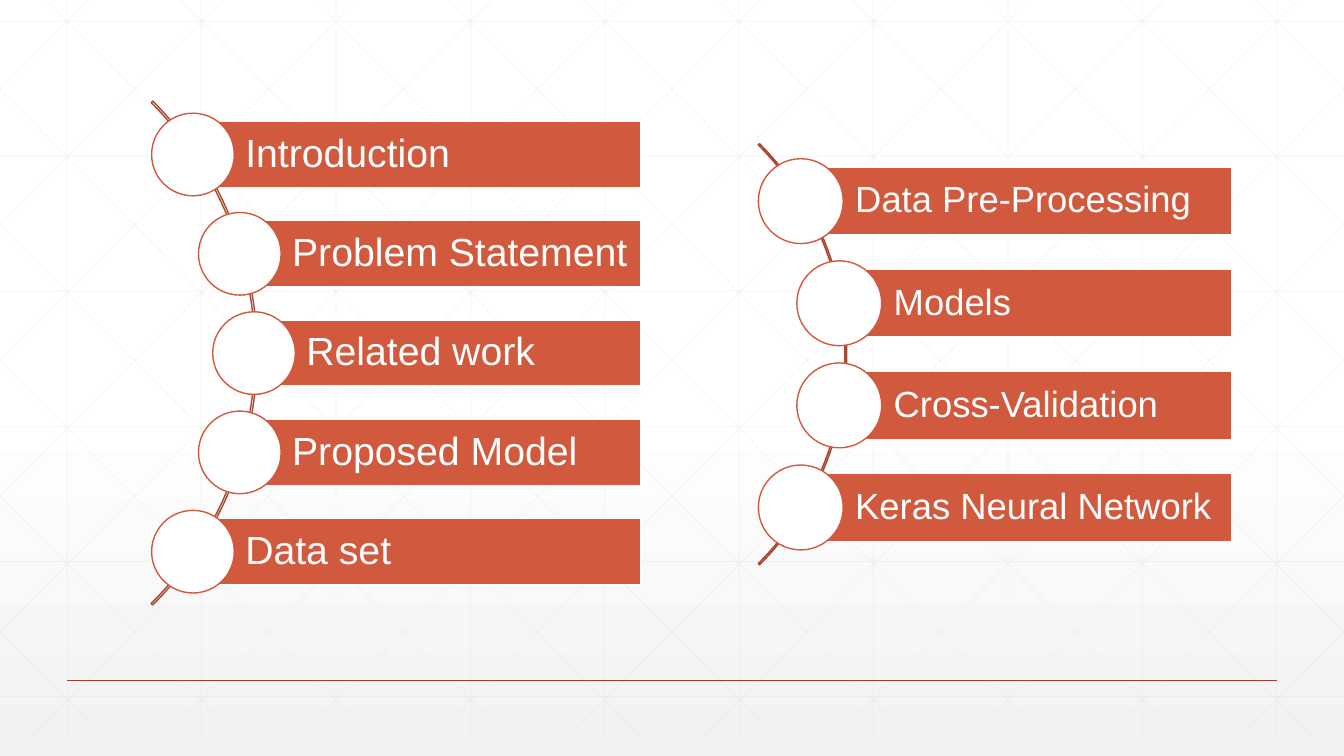
from dataclasses import dataclass
from math import sqrt

from lxml import etree
from pptx import Presentation
from pptx.dml.color import RGBColor
from pptx.enum.shapes import MSO_CONNECTOR, MSO_SHAPE
from pptx.enum.text import MSO_ANCHOR, PP_ALIGN
from pptx.oxml.ns import qn
from pptx.util import Inches, Pt

STRAIGHT = MSO_CONNECTOR.STRAIGHT
RECT, CIRCLE, ARC = MSO_SHAPE.RECTANGLE, MSO_SHAPE.OVAL, MSO_SHAPE.BLOCK_ARC
MIDDLE, LEFT = MSO_ANCHOR.MIDDLE, PP_ALIGN.LEFT

# The slide is a grid of 0.1 inch cells
COLS, ROWS = 133.33, 75


@dataclass(frozen=True)
class Theme:
    font: str = "Arial"
    white: str = "FFFFFF"
    bar: str = "D15A3E"
    arc: str = "A74832"
    rule: str = "A43F27"
    mesh: str = "D9D9D9"
    shade: str = "F2F2F2"
    large: int = 28
    medium: int = 26
    thin: float = 0.5
    line: float = 1


@dataclass(frozen=True)
class Agenda:
    topics: tuple
    size: int
    centre: tuple
    radius: float
    step: float
    bar_height: float
    dot: float
    right: float
    indent: float


def cells(count):
    return Inches(count / 10)


def write(frame, text, *, font, size, color, indent):
    frame.word_wrap = True
    frame.vertical_anchor = MIDDLE
    frame.margin_left, frame.margin_right = cells(indent), cells(0.5)
    frame.margin_top = frame.margin_bottom = cells(0.7)
    paragraph = frame.paragraphs[0]
    paragraph.text = text
    paragraph.alignment = LEFT
    paragraph.line_spacing = 0.9
    paragraph.font.name, paragraph.font.size = font, Pt(size)
    paragraph.font.color.rgb = RGBColor.from_string(color)


class Page:
    def __init__(self, slide, theme):
        self.slide, self.theme = slide, theme

    def backdrop(self, stops):
        fill = self.slide.background.fill
        fill.gradient()
        fill.gradient_angle = 270
        stop_list = self.slide.element.find(".//" + qn("a:gsLst"))
        for old in list(stop_list):
            stop_list.remove(old)
        for position, color, opacity in stops:
            stop = etree.SubElement(stop_list, qn("a:gs"), pos=str(position * 1000))
            tint = etree.SubElement(stop, qn("a:srgbClr"), val=color)
            if opacity < 100:
                etree.SubElement(tint, qn("a:alpha"), val=str(opacity * 1000))

    def line(self, x1, y1, x2, y2, color, width, opacity=100):
        line = self.slide.shapes.add_connector(
            STRAIGHT, cells(x1), cells(y1), cells(x2), cells(y2))
        line.line.width = Pt(width)
        line.line.color.rgb = RGBColor.from_string(color)
        if opacity < 100:
            tint = line.line._ln.find(".//" + qn("a:srgbClr"))
            etree.SubElement(tint, qn("a:alpha"), val=str(opacity * 1000))
        etree.SubElement(line._element.spPr, qn("a:effectLst"))

    def shape(self, kind, x, y, width, height, fill, outline):
        shape = self.slide.shapes.add_shape(
            kind, cells(x), cells(y), cells(width), cells(height))
        shape.shadow.inherit = False
        if fill:
            shape.fill.solid()
            shape.fill.fore_color.rgb = RGBColor.from_string(fill)
        else:
            shape.fill.background()
        shape.line.width = Pt(self.theme.line)
        shape.line.color.rgb = RGBColor.from_string(outline)
        return shape

    def mesh(self):
        look = (self.theme.mesh, self.theme.thin, 25)
        top, bottom, pitch = -2.1, 72.9, COLS / 10
        for k in range(10):
            x = pitch * (k + 0.5)
            self.line(x, 0, x, bottom, *look)
        for k in range(6):
            y = 2.1 + 13.4 * k
            self.line(0, y, COLS, y, *look)
        # Diagonals, cut at the slide edges, each with its mirror
        slope = 0.99
        for k in range(-5, 10):
            start = 2.5 + pitch * k
            y1 = max(0, top - start / slope)
            y2 = min(bottom, top + (COLS - start) / slope)
            x1, x2 = (start + (y - top) * slope for y in (y1, y2))
            self.line(x1, y1, x2, y2, *look)
            self.line(COLS - x1, y1, COLS - x2, y2, *look)

    def agenda(self, agenda):
        theme = self.theme
        cx, cy = agenda.centre
        radius, height, dot = agenda.radius, agenda.bar_height, agenda.dot
        arc = self.shape(ARC, cx - radius, cy - radius, 2 * radius, 2 * radius,
                         None, theme.arc)
        for index, value in enumerate((189, 27, 0.003)):
            arc.adjustments[index] = value
        # Each bar starts at the centre of its dot, which sits on the arc
        for index, topic in enumerate(agenda.topics):
            rise = (index - (len(agenda.topics) - 1) / 2) * agenda.step
            x, y = cx + sqrt((radius - 0.3) ** 2 - rise ** 2), cy + rise
            bar = self.shape(RECT, x, y - height / 2, agenda.right - x, height,
                             theme.bar, theme.white)
            write(bar.text_frame, topic, font=theme.font, size=agenda.size,
                  color=theme.white, indent=agenda.indent)
            self.shape(CIRCLE, x - dot / 2, y - dot / 2, dot, dot,
                       theme.white, theme.bar)


def main():
    deck = Presentation()
    deck.slide_width, deck.slide_height = cells(COLS), cells(ROWS)
    theme = Theme()
    page = Page(deck.slides.add_slide(deck.slide_layouts[6]), theme)

    # Backdrop and footer rule
    page.backdrop([(0, theme.white, 100), (53, theme.white, 100),
                   (100, theme.shade, 65)])
    page.mesh()
    page.line(6.67, 67.5, 126.67, 67.5, theme.rule, theme.line)

    # Agenda, first and second half
    page.agenda(Agenda(
        ("Introduction", "Problem Statement", "Related work",
         "Proposed Model", "Data set"),
        size=theme.large, centre=(-9.85, 35.03), radius=35.35, step=9.85,
        bar_height=6.56, dot=8.2, right=63.55, indent=5.2))
    page.agenda(Agenda(
        ("Data Pre-Processing", "Models", "Cross-Validation",
         "Keras Neural Network"),
        size=theme.medium, centre=(54.45, 35.15), radius=29.55, step=10.13,
        bar_height=6.74, dot=8.42, right=122.2, indent=5.4))

    deck.save("out.pptx")


if __name__ == "__main__":
    main()
